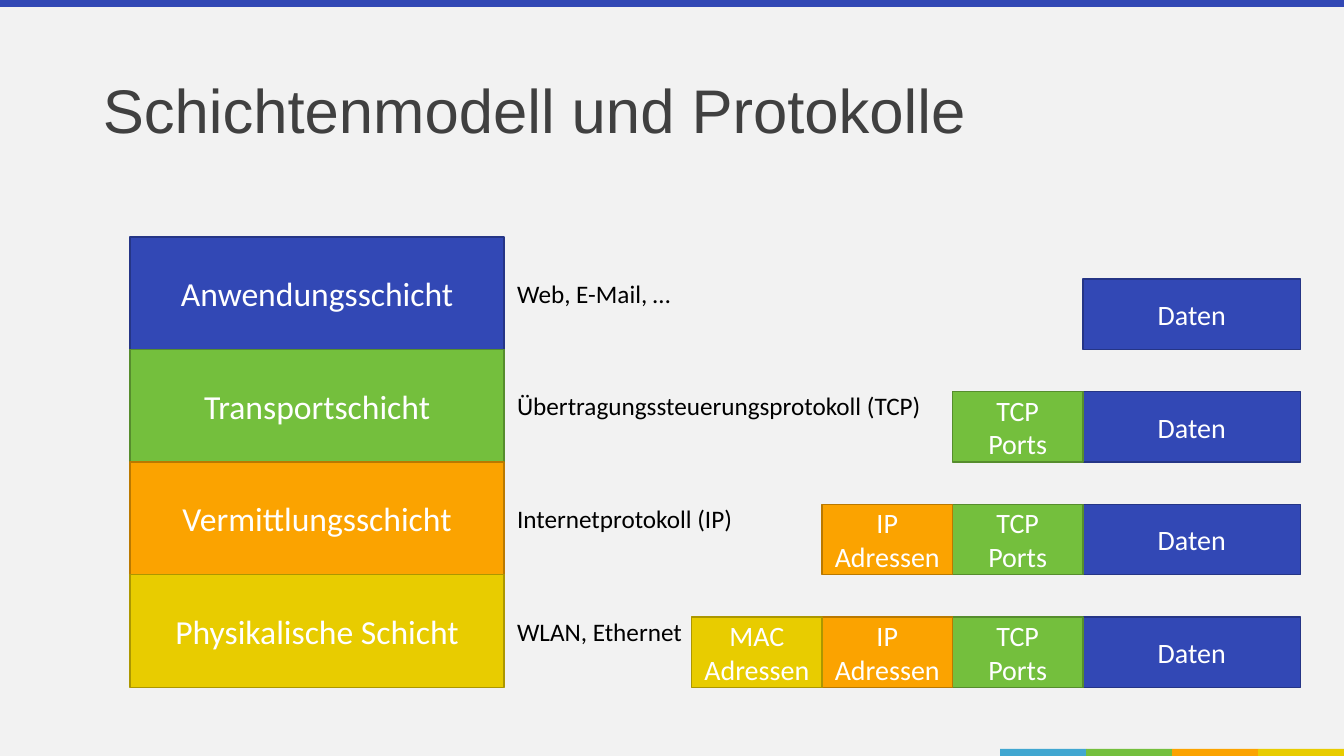
from pptx import Presentation
from pptx.dml.color import RGBColor
from pptx.enum import shapes, text
from pptx.util import Inches, Pt

BACKGROUND = RGBColor(0xF2, 0xF2, 0xF2)
TITLE_GREY = RGBColor(0x40, 0x40, 0x40)
BLACK = RGBColor(0x00, 0x00, 0x00)
WHITE = RGBColor(0xFF, 0xFF, 0xFF)
LIGHT_BLUE = RGBColor(0x41, 0xA7, 0xD1)
BLUE = RGBColor(0x32, 0x48, 0xB5)
DARK_BLUE = RGBColor(0x25, 0x35, 0x86)
GREEN = RGBColor(0x74, 0xBF, 0x3D)
DARK_GREEN = RGBColor(0x56, 0x8D, 0x2D)
ORANGE = RGBColor(0xFB, 0xA3, 0x00)
DARK_ORANGE = RGBColor(0xBA, 0x79, 0x00)
YELLOW = RGBColor(0xE8, 0xCC, 0x00)
DARK_YELLOW = RGBColor(0xAC, 0x97, 0x00)

SLIDE_WIDTH, SLIDE_HEIGHT = 13.33, 7.5
STRIPE_HEIGHT = 0.07
STACK_LEFT, STACK_TOP, STACK_WIDTH = 1.29, 2.35, 3.71
LAYER_HEIGHT = 4.47 / 4
PROTOCOL_LEFT = 5.03
PACKET_HEIGHT = 0.7
DATA_LEFT, DATA_WIDTH = 10.74, 2.16
HEADER_WIDTH = 3.88 / 3

# Layer, protocols, width of the protocol label, packet part, fill, outline
LAYERS = [
    ("Anwendungsschicht", "Web, E-Mail, …", 1.74, "Daten", BLUE, DARK_BLUE),
    ("Transportschicht", "Übertragungssteuerungsprotokoll (TCP)", 4.25,
     "TCP\nPorts", GREEN, DARK_GREEN),
    ("Vermittlungsschicht", "Internetprotokoll (IP)", 2.36,
     "IP\nAdressen", ORANGE, DARK_ORANGE),
    ("Physikalische Schicht", "WLAN, Ethernet", 1.86,
     "MAC\nAdressen", YELLOW, DARK_YELLOW),
]


def write(shape, words, size, color, font_name="Calibri"):
    paragraph = shape.text_frame.paragraphs[0]
    paragraph.text = words
    paragraph.font.size = Pt(size)
    paragraph.font.name = font_name
    paragraph.font.color.rgb = color
    return paragraph


def add_bar(slide, left, top, width, height, fill):
    shape = slide.shapes.add_shape(
        shapes.MSO_SHAPE.RECTANGLE,
        Inches(left), Inches(top), Inches(width), Inches(height))
    shape.shadow.inherit = False
    shape.fill.solid()
    shape.fill.fore_color.rgb = fill
    shape.line.fill.background()
    return shape


def add_block(slide, left, top, width, height, words, size, fill, outline):
    shape = add_bar(slide, left, top, width, height, fill)
    shape.line.color.rgb = outline
    shape.line.width = Pt(1)
    shape.text_frame.word_wrap = True
    shape.text_frame.vertical_anchor = text.MSO_ANCHOR.MIDDLE
    write(shape, words, size, WHITE).alignment = text.PP_ALIGN.CENTER


def add_label(slide, left, top, width, words):
    box = slide.shapes.add_textbox(
        Inches(left), Inches(top), Inches(width), Inches(0.4))
    box.text_frame.word_wrap = False
    box.text_frame.auto_size = text.MSO_AUTO_SIZE.SHAPE_TO_FIT_TEXT
    write(box, words, 18, BLACK)


def add_title(slide, words):
    title = slide.shapes.title
    title.left, title.top = Inches(0.92), Inches(0.4)
    title.width, title.height = Inches(11.5), Inches(1.45)
    title.text_frame.vertical_anchor = text.MSO_ANCHOR.MIDDLE
    paragraph = write(title, words, 44, TITLE_GREY, "Arial")
    paragraph.alignment = text.PP_ALIGN.LEFT
    paragraph.line_spacing = 0.9


def add_stripes(slide):
    add_bar(slide, 0, 0, SLIDE_WIDTH, STRIPE_HEIGHT, BLUE)
    colors = [LIGHT_BLUE, GREEN, ORANGE, YELLOW]
    left = 9.92
    width = (SLIDE_WIDTH - left) / len(colors)
    for index, color in enumerate(colors):
        add_bar(slide, left + index * width, SLIDE_HEIGHT - STRIPE_HEIGHT,
                width, STRIPE_HEIGHT, color)


def add_packet(slide, top, parts):
    """Data on the right, one more header to its left for each layer."""
    for index, (_, _, _, words, fill, outline) in enumerate(parts):
        width = HEADER_WIDTH if index else DATA_WIDTH
        add_block(slide, DATA_LEFT - index * HEADER_WIDTH, top, width,
                  PACKET_HEIGHT, words, 20, fill, outline)


def main():
    presentation = Presentation()
    presentation.slide_width = Inches(SLIDE_WIDTH)
    presentation.slide_height = Inches(SLIDE_HEIGHT)
    slide = presentation.slides.add_slide(presentation.slide_layouts[5])
    slide.background.fill.solid()
    slide.background.fill.fore_color.rgb = BACKGROUND

    # Frame and title
    add_stripes(slide)
    add_title(slide, "Schichtenmodell und Protokolle")

    # Layer stack with protocols and packets
    for index, layer in enumerate(LAYERS):
        name, protocols, label_width, _, fill, outline = layer
        top = STACK_TOP + index * LAYER_HEIGHT
        add_block(slide, STACK_LEFT, top, STACK_WIDTH, LAYER_HEIGHT,
                  name, 24, fill, outline)
        add_label(slide, PROTOCOL_LEFT, top + 0.36, label_width, protocols)
        add_packet(slide, top + LAYER_HEIGHT - PACKET_HEIGHT,
                   LAYERS[:index + 1])

    presentation.save("out.pptx")


if __name__ == "__main__":
    main()
